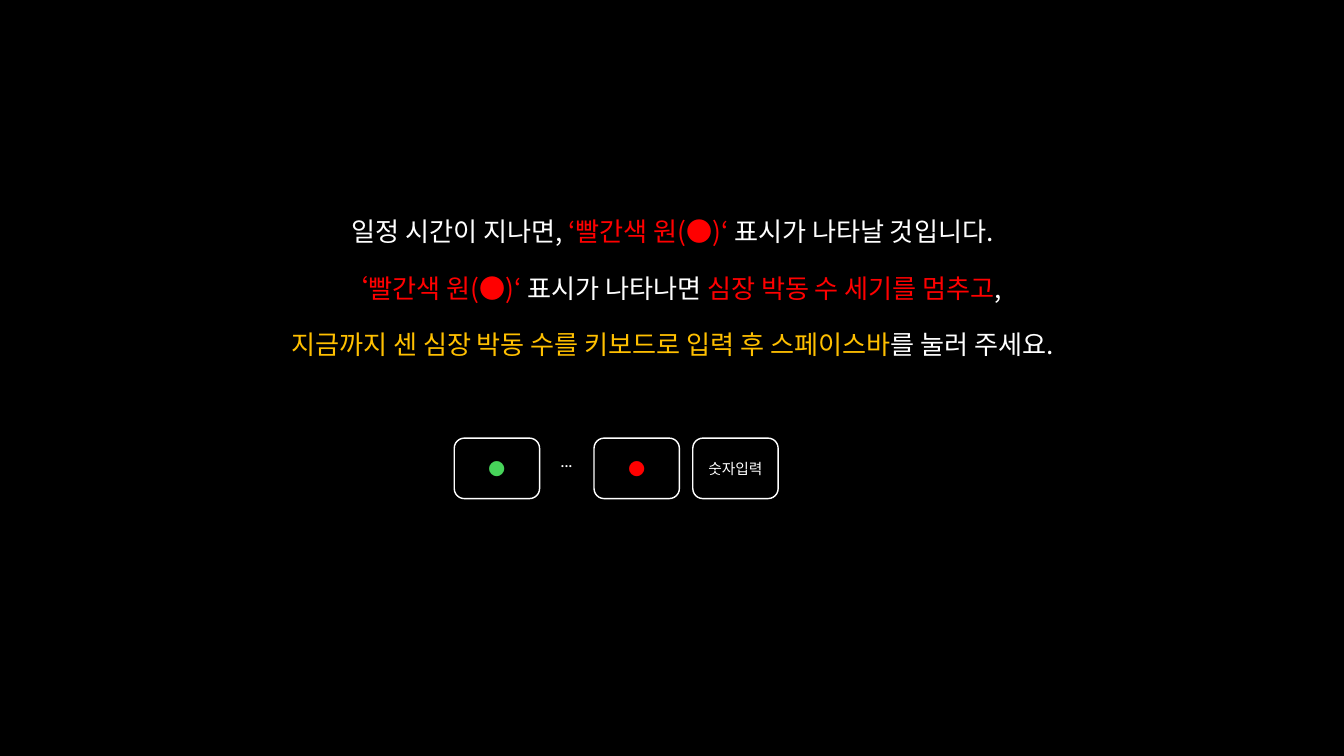
from lxml import etree
from pptx import Presentation
from pptx.dml.color import RGBColor
from pptx.enum import shapes, text
from pptx.oxml import ns
from pptx.util import Inches, Pt

COLORS = {"black": "000000", "white": "FFFFFF", "red": "FF0000",
          "amber": "FFC000", "green": "47D45A"}
KOREAN = "Noto Sans CJK KR"
LINES = [
    [("일정 시간이 지나면, ", "white"), ("‘빨간색 원(●)‘ ", "red"),
     ("표시가 나타날 것입니다.", "white")],
    [("‘빨간색 원(●)‘ ", "red"), ("표시가 나타나면 ", "white"),
     ("심장 박동 수 세기를 멈추고", "red"), (",", "white")],
    [("지금까지 센 심장 박동 수를 키보드로 입력 후 스페이스바", "amber"),
     ("를 눌러 주세요.", "white")],
]
SCREENS = [(8.84, "●", "red", 18), (10.31, "숫자입력", "white", 15.8),
           (6.76, "●", "green", 18)]


def rgb(name):
    """Return the named colour."""
    return RGBColor.from_string(COLORS[name])


def add_run(p, content, color="white", size=28, font=KOREAN):
    """Add a formatted run to a centred paragraph."""
    p.alignment = text.PP_ALIGN.CENTER
    r = p.add_run()
    r.text = content
    r.font.size = Pt(size)
    r.font.name = font
    r.font.color.rgb = rgb(color)
    etree.SubElement(r.font._element, ns.qn("a:ea"), typeface=font)


def add_text(s, box, lines, gap=0, **fmt):
    """Add an unwrapped text box with one paragraph per line of runs."""
    tf = s.shapes.add_textbox(*map(Inches, box)).text_frame
    tf.word_wrap = False
    tf.auto_size = text.MSO_AUTO_SIZE.SHAPE_TO_FIT_TEXT
    for i, line in enumerate(lines):
        p = tf.add_paragraph() if i else tf.paragraphs[0]
        if i:
            p.space_before = Pt(gap)
        for content, color in line:
            add_run(p, content, color, **fmt)


def add_screen(s, left, label, color, size):
    """Add a rounded screen outline with a centred label."""
    sp = s.shapes.add_shape(shapes.MSO_SHAPE.ROUNDED_RECTANGLE, Inches(left),
                            Inches(6.52), Inches(1.27), Inches(0.9))
    sp.shadow.inherit = False
    sp.fill.solid()
    sp.fill.fore_color.rgb = rgb("black")
    sp.line.color.rgb = rgb("white")
    sp.line.width = Pt(1.5)
    tf = sp.text_frame
    tf.vertical_anchor = text.MSO_ANCHOR.MIDDLE
    add_run(tf.paragraphs[0], label, color, size)


def main():
    """Build the instruction slide."""
    prs = Presentation()
    prs.slide_width, prs.slide_height = Inches(20), Inches(11.25)
    s = prs.slides.add_slide(prs.slide_layouts[6])
    s.background.fill.solid()
    s.background.fill.fore_color.rgb = rgb("black")
    add_text(s, (4.06, 3.16, 11.89, 2.46), LINES, gap=27)
    for screen in SCREENS:
        add_screen(s, *screen)
    add_text(s, (8.21, 6.63, 0.44, 0.44), [[("…", "white")]],
             size=20.3, font="Roboto")
    prs.save("out.pptx")


if __name__ == "__main__":
    main()
